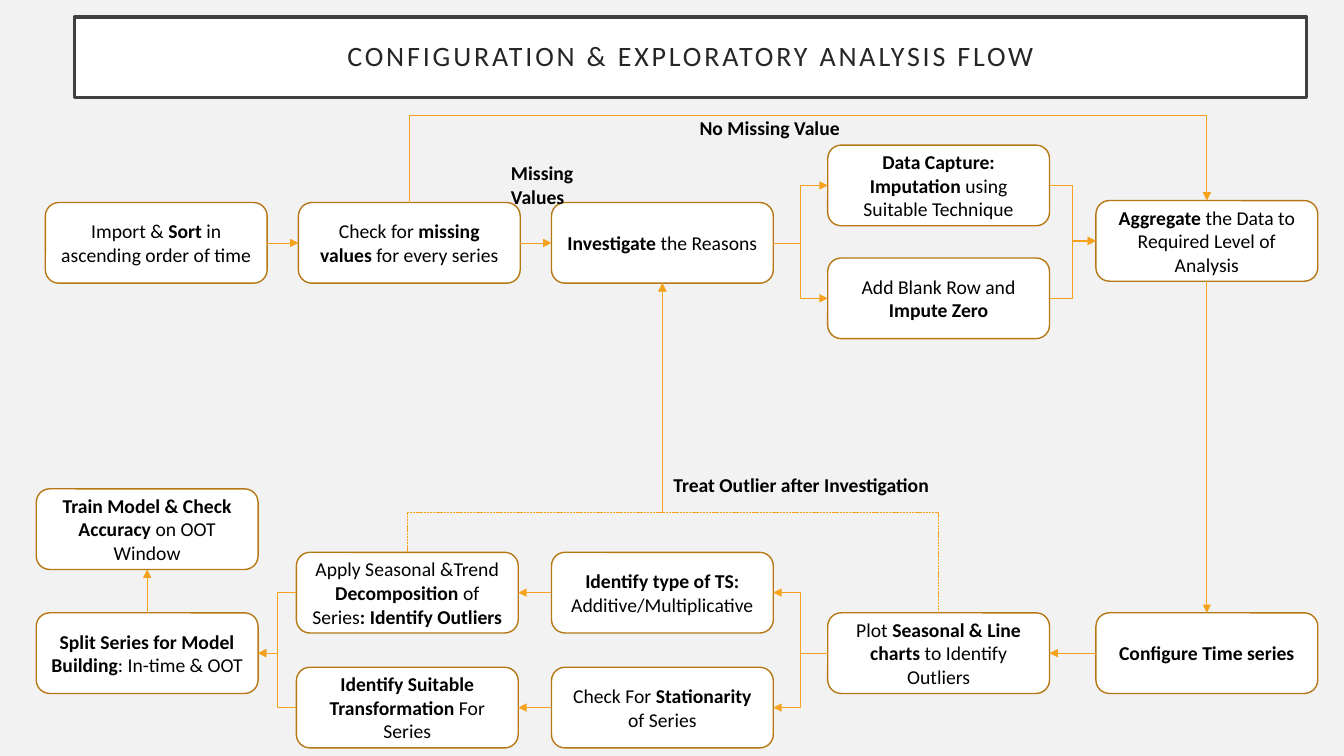
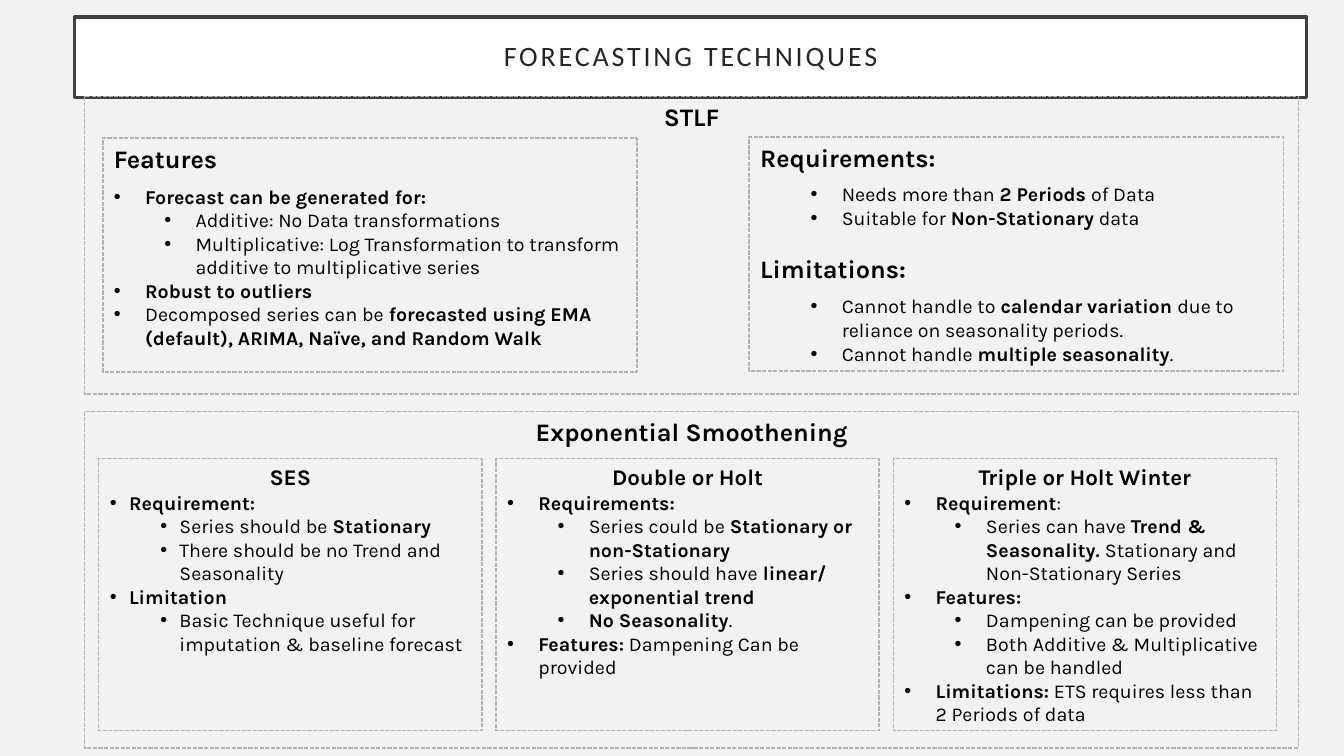
from typing import NamedTuple

from lxml.etree import SubElement
from pptx import Presentation
from pptx.dml.color import RGBColor
from pptx.enum.dml import MSO_LINE_DASH_STYLE as Dash
from pptx.enum.shapes import MSO_CONNECTOR as Link, MSO_SHAPE as Preset
from pptx.enum.text import MSO_ANCHOR as Anchor, MSO_AUTO_SIZE as AutoSize, PP_ALIGN as Align
from pptx.oxml.ns import qn
from pptx.util import Pt

EMU_PER_PX = 9144  # 100 px to the inch
PAGE_GREY = RGBColor(0xF2, 0xF2, 0xF2)
WHITE = RGBColor(0xFF, 0xFF, 0xFF)
BLACK = RGBColor(0, 0, 0)
TITLE_INK = RGBColor(0x26, 0x26, 0x26)
TITLE_EDGE = RGBColor(0x40, 0x40, 0x40)
STEP_EDGE = RGBColor(0xB6, 0x78, 0x15)
ARROW = RGBColor(0xF6, 0xA2, 0x1D)
PANEL_EDGE = RGBColor(0xB2, 0xB2, 0xB2)
FLOW_FONT, PANEL_FONT = "Calibri", "Karla"
TOP, LEFT, BOTTOM, RIGHT = range(4)
STEP_WIDTH, STEP_HEIGHT = 220, 80


class Box(NamedTuple):
    left: int
    top: int
    width: int
    height: int

    def inner(self, left, top, width, height):
        return Box(self.left + left, self.top + top, width, height)


class Line(NamedTuple):
    """A paragraph; **...** marks bold, and a level makes it a bullet."""
    text: str
    level: int | None = None
    size: int = 14
    align: Align = Align.LEFT
    before: int = 0
    after: int = 0


def px(length):
    return length * EMU_PER_PX


def emu(box):
    return [px(length) for length in box]


def set_insets(frame, across, down):
    frame.margin_left = frame.margin_right = px(across)
    frame.margin_top = frame.margin_bottom = px(down)


def add_bullet(para, level, indent):
    para.level = level
    props = para._p.get_or_add_pPr()
    props.set("marL", str(px(indent + 50 * level)))
    props.set("indent", str(-px(indent)))
    SubElement(props, qn("a:buFont")).set("typeface", "Arial")
    SubElement(props, qn("a:buChar")).set("char", "•")


def write(frame, lines, font, indent=0):
    frame.word_wrap = True
    for number, line in enumerate(lines):
        para = frame.add_paragraph() if number else frame.paragraphs[0]
        para.alignment = line.align
        para.space_before, para.space_after = Pt(line.before), Pt(line.after)
        if line.level is not None:
            add_bullet(para, line.level, indent)
        for part, text in enumerate(line.text.split("**")):
            if text:
                span = para.add_run()
                span.text = text
                span.font.name, span.font.size = font, Pt(line.size)
                span.font.bold = part % 2 == 1
                span.font.color.rgb = BLACK


def add_page(deck, title):
    page = deck.slides.add_slide(deck.slide_layouts[5])
    band = page.shapes.title
    band.left, band.top, band.width, band.height = emu((74, 17, 1222, 80))
    band.fill.solid()
    band.fill.fore_color.rgb = WHITE
    band.line.color.rgb = TITLE_EDGE
    band.line.width = Pt(2.5)
    frame = band.text_frame
    frame.auto_size = AutoSize.NONE
    frame.vertical_anchor = Anchor.MIDDLE
    set_insets(frame, 20, 20)
    para = frame.paragraphs[0]
    para.alignment, para.line_spacing = Align.CENTER, 0.9
    span = para.add_run()
    span.text = title
    span.font.name, span.font.size = FLOW_FONT, Pt(20)
    span.font.color.rgb = TITLE_INK
    span._r.get_or_add_rPr().set("spc", "200")
    return page


def add_step(page, box, text):
    step = page.shapes.add_shape(Preset.ROUNDED_RECTANGLE, *emu(box))
    step.shadow.inherit = False
    step.fill.solid()
    step.fill.fore_color.rgb = WHITE
    step.line.color.rgb = STEP_EDGE
    step.line.width = Pt(1)
    step.text_frame.vertical_anchor = Anchor.MIDDLE
    write(step.text_frame, [Line(part, align=Align.CENTER) for part in text.split("\n")], FLOW_FONT)
    return step


def add_label(page, box, text):
    label = page.shapes.add_textbox(*emu(box))
    write(label.text_frame, [Line(f"**{text}**")], FLOW_FONT)


def add_arrow(page, kind, start, start_side, end, end_side):
    arrow = page.shapes.add_connector(kind, 0, 0, 0, 0)
    arrow.begin_connect(start, start_side)
    arrow.end_connect(end, end_side)
    arrow.line.color.rgb = ARROW
    arrow.line.width = Pt(0.5)
    SubElement(arrow.line._get_or_add_ln(), qn("a:tailEnd")).set("type", "triangle")
    SubElement(arrow._element.spPr, qn("a:effectLst"))
    return arrow


def add_lane_arrow(page, start, end, end_side, lane):
    """Rise from the top of start to the height lane, cross, then reach end."""
    arrow = add_arrow(page, Link.ELBOW, start, TOP, end, end_side)
    across, rise = arrow.end_x - arrow.begin_x, arrow.begin_y - arrow.end_y
    bend = round(100000 * (arrow.begin_y - px(lane)) / rise)
    middle_x = (arrow.begin_x + arrow.end_x) // 2
    middle_y = (arrow.begin_y + arrow.end_y) // 2
    arrow.width, arrow.height = rise, abs(across)
    arrow.left, arrow.top = middle_x - rise // 2, middle_y - abs(across) // 2
    props = arrow._element.spPr
    frame = props.find(qn("a:xfrm"))
    frame.set("rot", str(270 * 60000))
    frame.set("flipH", "0")
    frame.set("flipV", "1" if across < 0 else "0")
    guides = props.find(qn("a:prstGeom")).get_or_add_avLst()
    guide = SubElement(guides, qn("a:gd"))
    guide.set("name", "adj1")
    guide.set("fmla", f"val {bend}")
    return arrow


FLOW_STEPS = {
    "sort": (9, 91, "Import & **Sort** in ascending order of time"),
    "missing": (260, 91, "Check for **missing values **for every series"),
    "investigate": (511, 91, "**Investigate** the Reasons"),
    "impute": (785, 34, "**Data Capture:**\n**Imputation** using Suitable Technique"),
    "zero": (785, 146, "Add Blank Row and **Impute Zero**"),
    "aggregate": (1051, 89, "**Aggregate **the Data to Required Level of Analysis"),
    "configure": (1051, 498, "**Configure Time series**"),
    "plot": (785, 498, "Plot **Seasonal & Line charts **to Identify Outliers"),
    "type": (511, 438, "**Identify type of TS:** Additive/Multiplicative"),
    "stationarity": (511, 552, "Check For **Stationarity **of Series"),
    "decompose": (258, 438, "Apply Seasonal &Trend **Decomposition **of Series**: Identify Outliers**"),
    "transform": (258, 552, "**Identify Suitable Transformation **For Series"),
    "split": (0, 498, "**Split Series for Model Building**: In-time & OOT"),
    "train": (0, 375, "**Train Model & Check Accuracy **on OOT Window"),
}
FLOW_LABELS = [
    ((648, 0, 234, 34), "No Missing Value"),
    ((461, 45, 86, 57), "Missing Values"),
    ((622, 354, 312, 34), "Treat Outlier after Investigation"),
]
STRAIGHT_ARROWS = [
    ("sort", RIGHT, "missing", LEFT),
    ("missing", RIGHT, "investigate", LEFT),
    ("aggregate", BOTTOM, "configure", TOP),
    ("configure", LEFT, "plot", RIGHT),
    ("type", LEFT, "decompose", RIGHT),
    ("stationarity", LEFT, "transform", RIGHT),
    ("split", TOP, "train", BOTTOM),
]
ELBOW_ARROWS = [
    ("investigate", RIGHT, "impute", LEFT),
    ("investigate", RIGHT, "zero", LEFT),
    ("impute", RIGHT, "aggregate", LEFT),
    ("zero", RIGHT, "aggregate", LEFT),
    ("plot", LEFT, "type", RIGHT),
    ("plot", LEFT, "stationarity", RIGHT),
    ("decompose", LEFT, "split", RIGHT),
    ("transform", LEFT, "split", RIGHT),
]


def draw_flow(page, area):
    steps = {
        name: add_step(page, area.inner(left, top, STEP_WIDTH, STEP_HEIGHT), text)
        for name, (left, top, text) in FLOW_STEPS.items()
    }
    for kind, arrows in ((Link.STRAIGHT, STRAIGHT_ARROWS), (Link.ELBOW, ELBOW_ARROWS)):
        for start, start_side, end, end_side in arrows:
            add_arrow(page, kind, steps[start], start_side, steps[end], end_side)
    add_lane_arrow(page, steps["missing"], steps["aggregate"], TOP, area.top + 5)
    for name in ("decompose", "plot"):
        arrow = add_lane_arrow(page, steps[name], steps["investigate"], BOTTOM, area.top + 398)
        arrow.line.dash_style = Dash.SQUARE_DOT
    for box, text in FLOW_LABELS:
        add_label(page, area.inner(*box), text)


STLF_FEATURES = [
    Line("**Features**", size=18, after=8),
    Line("**Forecast can be generated for:**", 0),
    Line("Additive: No Data transformations", 1),
    Line("Multiplicative: Log Transformation to transform additive to multiplicative series", 1),
    Line("**Robust to outliers**", 0),
    Line("Decomposed series can be **forecasted using EMA (default), ARIMA, Naïve, and Random Walk**", 0),
]
STLF_LIMITS = [
    Line("**Requirements:**", size=18, after=7),
    Line("Needs more than **2 Periods **of Data", 1),
    Line("Suitable for **Non-Stationary** data", 1),
    Line("**Limitations:**", size=18, before=17, after=8),
    Line("Cannot handle to **calendar variation **due to reliance on seasonality periods.", 1),
    Line("Cannot handle **multiple seasonality**.", 1),
]
SMOOTHING_CARDS = [
    ("SES", 19, [
        Line("**Requirement:**", 0),
        Line("Series should be **Stationary**", 1),
        Line("There should be no Trend and Seasonality", 1),
        Line("**Limitation**", 0),
        Line("Basic Technique useful for imputation & baseline forecast", 1),
    ]),
    ("Double or Holt", 31, [
        Line("**Requirements:**", 0),
        Line("Series could be **Stationary or non-Stationary**", 1),
        Line("Series should have **linear/ exponential trend**", 1),
        Line("**No Seasonality**.", 1),
        Line("**Features:** Dampening Can be provided", 0),
    ]),
    ("Triple or Holt Winter", 31, [
        Line("**Requirement**:", 0),
        Line("Series can have **Trend & Seasonality. **Stationary and Non-Stationary Series", 1),
        Line("**Features:**", 0),
        Line("Dampening can be provided", 1),
        Line("Both Additive & Multiplicative can be handled", 1),
        Line("**Limitations:** ETS requires less than 2 Periods of data", 0),
    ]),
]


def add_panel(page, box, lines, indent=31):
    panel = page.shapes.add_shape(Preset.RECTANGLE, *emu(box))
    panel.shadow.inherit = False
    panel.fill.background()
    panel.line.color.rgb = PANEL_EDGE
    panel.line.width = Pt(1)
    panel.line.dash_style = Dash.SQUARE_DOT
    panel.text_frame.vertical_anchor = Anchor.TOP
    set_insets(panel.text_frame, 11, 5)
    write(panel.text_frame, lines, PANEL_FONT, indent)


def centred(text, size):
    return Line(f"**{text}**", size=size, align=Align.CENTER)


def draw_stlf(page, area):
    add_panel(page, area, [centred("STLF", 18)])
    add_panel(page, area.inner(18, 41, 530, 232), STLF_FEATURES)
    add_panel(page, area.inner(659, 40, 530, 232), STLF_LIMITS)


def draw_smoothing(page, area):
    add_panel(page, area, [centred("Exponential Smoothening", 18)])
    gap, width = 14, 380
    for column, (name, indent, lines) in enumerate(SMOOTHING_CARDS):
        card = area.inner(gap + column * (width + gap), 47, width, 270)
        add_panel(page, card, [centred(name, 16), *lines], indent)


def main():
    deck = Presentation()
    deck.slide_width, deck.slide_height = px(1333), px(750)
    backdrop = deck.slide_master.background.fill
    backdrop.solid()
    backdrop.fore_color.rgb = PAGE_GREY

    flow_page = add_page(deck, "CONFIGURATION & EXPLORATORY ANALYSIS FLOW")
    draw_flow(flow_page, Box(36, 110, 1271, 632))

    technique_page = add_page(deck, "FORECASTING TECHNIQUES")
    draw_stlf(technique_page, Box(84, 96, 1204, 295))
    draw_smoothing(technique_page, Box(84, 408, 1204, 334))
    deck.save("out.pptx")


if __name__ == "__main__":
    main()
